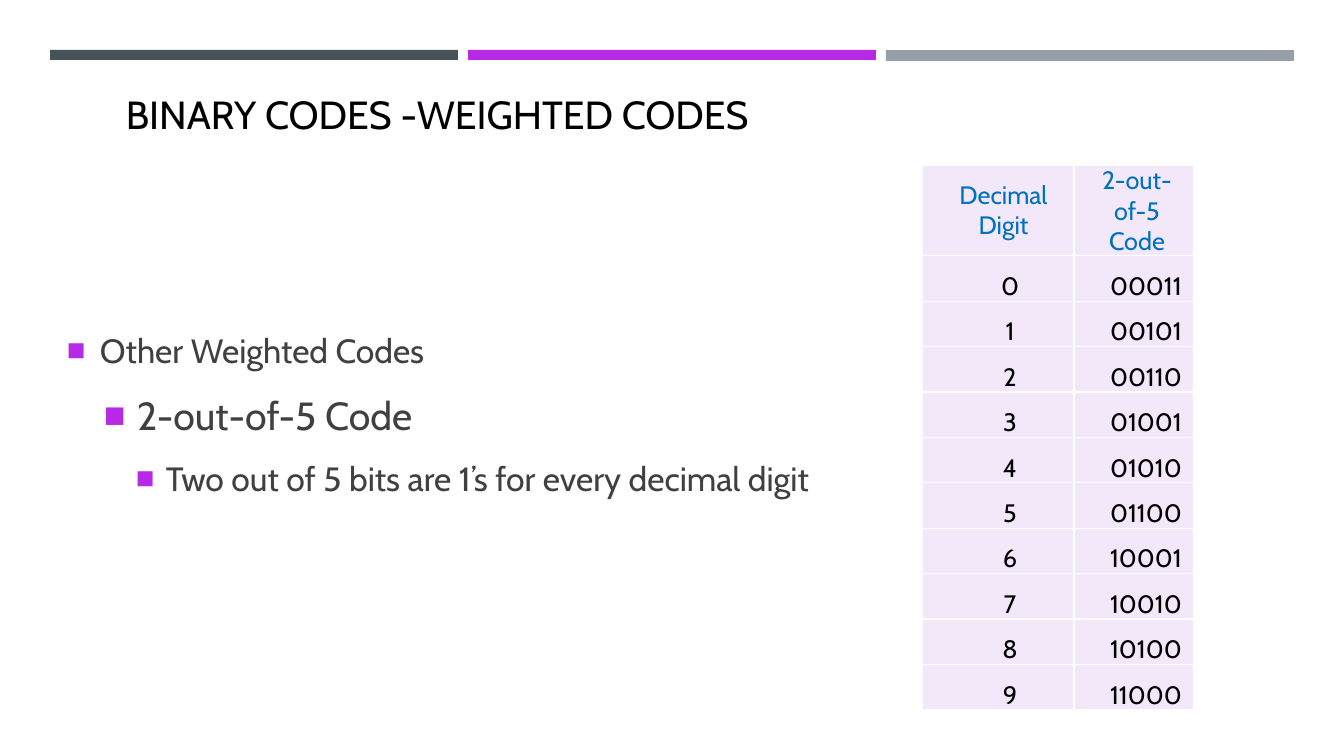
from lxml import etree
from pptx import Presentation, util as u
from pptx.dml.color import RGBColor
from pptx.enum import shapes, text
from pptx.oxml.ns import qn

BLACK = RGBColor(0x00, 0x00, 0x00)
WHITE = RGBColor(0xFF, 0xFF, 0xFF)
SLATE = RGBColor(0x46, 0x53, 0x59)
PURPLE = RGBColor(0xB6, 0x29, 0xE7)
GREY = RGBColor(0x96, 0x9F, 0xA7)
BODY_GREY = RGBColor(0x40, 0x40, 0x40)
HEADER_BLUE = RGBColor(0x00, 0x70, 0xC0)
LILAC = RGBColor(0xF3, 0xE8, 0xFA)
FONT = "Cabin"

TITLE = "BINARY CODES -WEIGHTED CODES"
OUTLINE = [
    ("Other Weighted Codes", 24, 33, 33),
    ("2-out-of-5 Code", 28, 70, 33),
    ("Two out of 5 bits are 1’s for every decimal digit", 24, 99, 30),
]
HEADERS = [(["Decimal", "Digit"], 11), (["2-out-of-5", "Code"], 6)]
CODES = ["00011", "00101", "00110", "01001", "01010",
         "01100", "10001", "10010", "10100", "11000"]
BARS = [(SLATE, 10), (PURPLE, 10), (GREY, 11)]
COLUMN_WIDTHS = [152, 120]
HEADER_HEIGHT, ROW_HEIGHT = 66, 44


def px(value):
    return u.Emu(round(value * 914400 / 100.8))


def add_bullet(properties):
    color = etree.SubElement(properties, qn("a:buClr"))
    etree.SubElement(color, qn("a:srgbClr"), val=str(PURPLE))
    etree.SubElement(properties, qn("a:buSzPct"), val="92000")
    etree.SubElement(properties, qn("a:buFont"), typeface="Arial")
    etree.SubElement(properties, qn("a:buChar"), char="■")


def write(frame, content, first=True, size=18, color=BLACK, align=None, indent=0,
          hanging=0, line=None, before=None, after=None, bullet=False, level=0):
    paragraph = frame.paragraphs[0] if first else frame.add_paragraph()
    paragraph.level = level
    properties = paragraph._p.get_or_add_pPr()
    properties.set("marL", str(px(indent)))
    properties.set("indent", str(px(-hanging)))
    if bullet:
        add_bullet(properties)
    paragraph.alignment = align
    paragraph.line_spacing = line
    paragraph.space_before = before
    paragraph.space_after = after
    run = paragraph.add_run()
    run.text = content
    run.font.name = FONT
    run.font.size = u.Pt(size)
    run.font.color.rgb = color


def add_text_box(slide, left, top, width, height, anchor):
    frame = slide.shapes.add_textbox(px(left), px(top), px(width), px(height)).text_frame
    frame.word_wrap = True
    frame.vertical_anchor = anchor
    return frame


def style_cell(cell):
    cell.margin_left = cell.margin_right = cell.margin_top = cell.margin_bottom = 0
    cell.vertical_anchor = text.MSO_ANCHOR.MIDDLE
    properties = cell._tc.get_or_add_tcPr()
    for side in ("lnL", "lnR", "lnT", "lnB"):
        border = etree.SubElement(properties, qn("a:" + side), w=str(u.Pt(1)))
        fill = etree.SubElement(border, qn("a:solidFill"))
        etree.SubElement(fill, qn("a:srgbClr"), val=str(WHITE))
    cell.fill.solid()
    cell.fill.fore_color.rgb = LILAC


def add_code_table(slide):
    table = slide.shapes.add_table(
        len(CODES) + 1, len(COLUMN_WIDTHS), px(922), px(165), px(sum(COLUMN_WIDTHS)),
        px(HEADER_HEIGHT + ROW_HEIGHT * len(CODES))).table
    for column, width in zip(table.columns, COLUMN_WIDTHS):
        column.width = px(width)
    for index, row in enumerate(table.rows):
        row.height = px(ROW_HEIGHT if index else HEADER_HEIGHT)
    for cell in table.iter_cells():
        style_cell(cell)
    for column, (lines, indent) in enumerate(HEADERS):
        for index, content in enumerate(lines):
            write(table.cell(0, column).text_frame, content, first=index == 0,
                  color=HEADER_BLUE, align=text.PP_ALIGN.CENTER, indent=indent)
    for digit, code in enumerate(CODES):
        for column, content in enumerate((str(digit), code)):
            write(table.cell(digit + 1, column).text_frame, content,
                  align=text.PP_ALIGN.CENTER, indent=24, line=1.5)


def main():
    presentation = Presentation()
    presentation.slide_width, presentation.slide_height = px(1344), px(756)
    slide = presentation.slides.add_slide(presentation.slide_layouts[6])

    for index, (color, height) in enumerate(BARS):
        bar = slide.shapes.add_shape(shapes.MSO_SHAPE.RECTANGLE, px(50 + 418 * index),
                                     px(50), px(408), px(height))
        bar.shadow.inherit = False
        bar.fill.solid()
        bar.fill.fore_color.rgb = color
        bar.line.fill.background()

    title = add_text_box(slide, 116, 58, 983, 84, text.MSO_ANCHOR.BOTTOM)
    write(title, TITLE, size=28)

    body = add_text_box(slide, 57, 126, 1220, 572, text.MSO_ANCHOR.MIDDLE)
    for level, (content, size, indent, hanging) in enumerate(OUTLINE):
        write(body, content, first=level == 0, size=size, color=BODY_GREY, indent=indent,
              hanging=hanging, line=1.1, before=u.Pt(size * 0.2) if level else None,
              after=u.Pt(6), bullet=True, level=level)

    add_code_table(slide)
    presentation.save("out.pptx")


if __name__ == "__main__":
    main()
